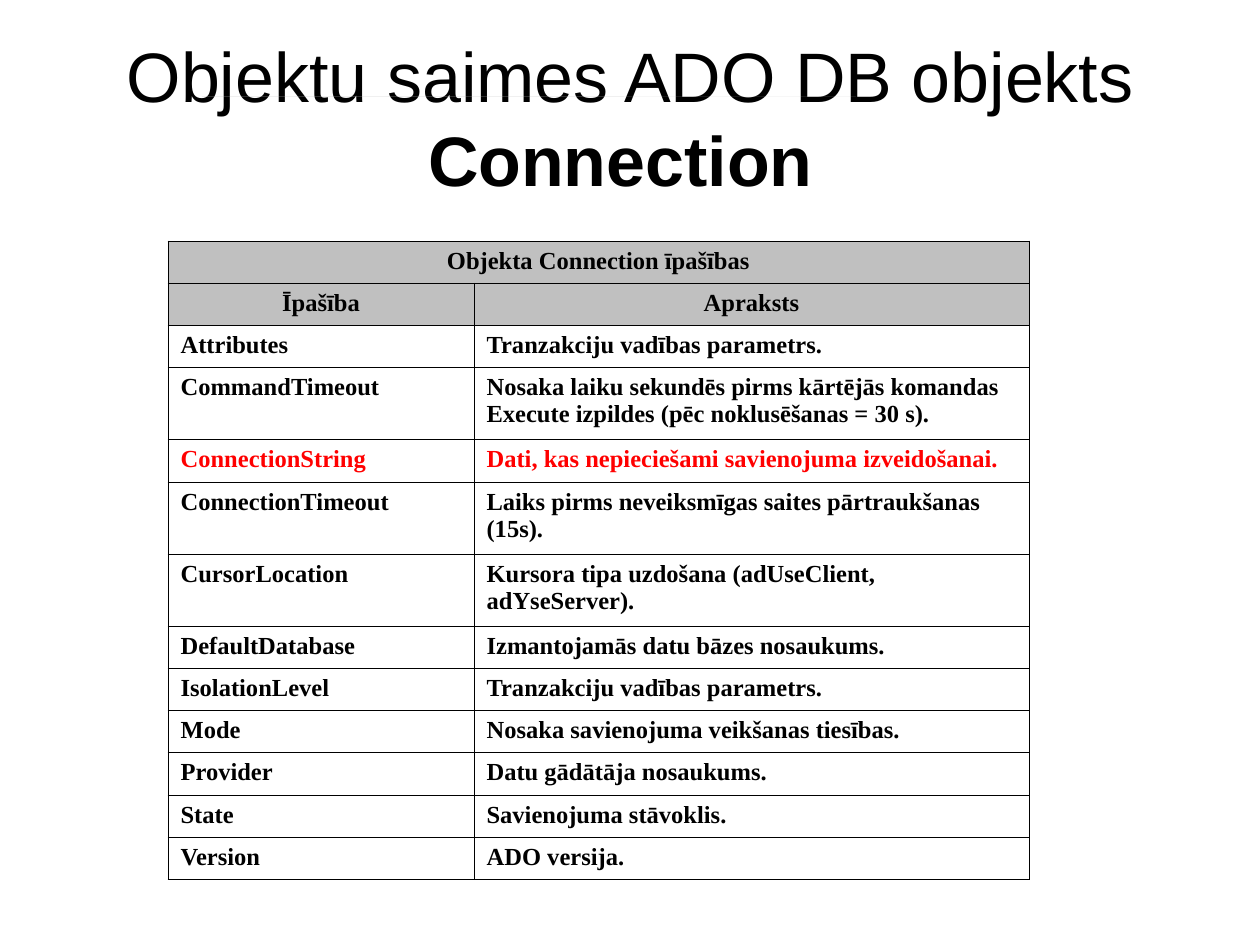
from lxml import etree
from pptx import Presentation
from pptx.dml.color import RGBColor
from pptx.enum.shapes import MSO_SHAPE
from pptx.enum.text import MSO_ANCHOR, PP_ALIGN
from pptx.oxml.ns import qn
from pptx.util import Pt

EMU_PER_PX = 914400 / 126
RECT = MSO_SHAPE.RECTANGLE
MIDDLE = MSO_ANCHOR.MIDDLE
CENTER, LEFT = PP_ALIGN.CENTER, PP_ALIGN.LEFT

BLACK = RGBColor(0x00, 0x00, 0x00)
RED = RGBColor(0xFF, 0x00, 0x00)
GRAY = RGBColor(0xC0, 0xC0, 0xC0)

TITLE_FONT = {"name": "Arial", "size": Pt(40)}
CELL_FONT = {"name": "Times New Roman", "size": Pt(14), "bold": True}
BORDER_TAGS = ("a:lnL", "a:lnR", "a:lnT", "a:lnB")
BORDER_WIDTH = Pt(0.45)
COL_WIDTHS = (306, 555)
TALL_ROW = 72

HEADERS = [("Objekta Connection īpašības", ""), ("Īpašība", "Apraksts")]
PROPERTIES = [
    ("Attributes", "Tranzakciju vadības parametrs."),
    ("CommandTimeout", "Nosaka laiku sekundēs pirms kārtējās komandas "
     "Execute izpildes (pēc noklusēšanas = 30 s)."),
    ("ConnectionString", "Dati, kas nepieciešami savienojuma izveidošanai."),
    ("ConnectionTimeout", "Laiks pirms neveiksmīgas saites pārtraukšanas (15s)."),
    ("CursorLocation", "Kursora tipa uzdošana (adUseClient, adYseServer)."),
    ("DefaultDatabase", "Izmantojamās datu bāzes nosaukums."),
    ("IsolationLevel", "Tranzakciju vadības parametrs."),
    ("Mode", "Nosaka savienojuma veikšanas tiesības."),
    ("Provider", "Datu gādātāja nosaukums."),
    ("State", "Savienojuma stāvoklis."),
    ("Version", "ADO versija."),
]
TALL = {"CommandTimeout", "ConnectionTimeout", "CursorLocation"}
HIGHLIGHTED = "ConnectionString"


def px(n):
    """Turn pixels into EMU."""
    return round(n * EMU_PER_PX)


def set_font(font, color, **formats):
    """Apply a colour and format values to a font."""
    font.color.rgb = color
    for name, value in formats.items():
        setattr(font, name, value)


def add_title(s, x, y, w, h):
    """Fill and place the title placeholder."""
    sp = s.shapes.title
    sp.left, sp.top, sp.width, sp.height = map(px, (x, y, w, h))
    tf = sp.text_frame
    tf.word_wrap = True
    tf.vertical_anchor = MIDDLE
    p = tf.paragraphs[0]
    p.alignment = CENTER
    for text, bold in (("Objektu saimes ADO DB objekts ", False), ("Connection ", True)):
        r = p.add_run()
        r.text = text
        set_font(r.font, BLACK, bold=bold, **TITLE_FONT)


def add_rules(s, x, y, widths):
    """Draw flat gray bars from a shared left edge."""
    for w in widths:
        sp = s.shapes.add_shape(RECT, px(x), px(y), px(w), 0)
        sp.shadow.inherit = False
        sp.fill.solid()
        sp.fill.fore_color.rgb = GRAY
        sp.line.fill.background()


def set_borders(cell):
    """Draw a thin black line on every side of a cell."""
    tc_pr = cell._tc.get_or_add_tcPr()
    for i, tag in enumerate(BORDER_TAGS):
        ln = etree.Element(qn(tag), w=str(BORDER_WIDTH))
        fill = etree.SubElement(ln, qn("a:solidFill"))
        etree.SubElement(fill, qn("a:srgbClr"), val=str(BLACK))
        tc_pr.insert(i, ln)


def format_cell(cell, text, is_header, color):
    """Write and style one table cell."""
    cell.margin_left = cell.margin_right = Pt(7.2)
    cell.margin_top = cell.margin_bottom = Pt(3.6)
    if is_header:
        cell.fill.solid()
        cell.fill.fore_color.rgb = GRAY
    else:
        cell.fill.background()
    set_borders(cell)
    p = cell.text_frame.paragraphs[0]
    p.alignment = CENTER if is_header else LEFT
    if text:
        r = p.add_run()
        r.text = text
        set_font(r.font, color, **CELL_FONT)


def add_property_table(s, x, y, w, h):
    """Build the table of Connection properties."""
    rows = HEADERS + PROPERTIES
    frame = s.shapes.add_table(len(rows), len(COL_WIDTHS), px(x), px(y), px(w), px(h))
    table = frame.table
    table.first_row = table.horz_banding = False
    for col, width in zip(table.columns, COL_WIDTHS):
        col.width = px(width)
    row_height = (h - len(TALL) * TALL_ROW) / (len(rows) - len(TALL))
    for i, texts in enumerate(rows):
        table.rows[i].height = px(TALL_ROW if texts[0] in TALL else row_height)
        color = RED if texts[0] == HIGHLIGHTED else BLACK
        for j, text in enumerate(texts):
            format_cell(table.cell(i, j), text, i < len(HEADERS), color)
    table.cell(0, 0).merge(table.cell(0, 1))


def main():
    """Build and save the slide."""
    prs = Presentation()
    prs.slide_width, prs.slide_height = px(1260), px(945)
    s = prs.slides.add_slide(prs.slide_layouts[5])
    add_title(s, 63, 38, 1134, 157)
    add_rules(s, 202, 97, (654, 422))
    add_property_table(s, 168, 241, sum(COL_WIDTHS), 639)
    prs.save("out.pptx")


if __name__ == "__main__":
    main()
